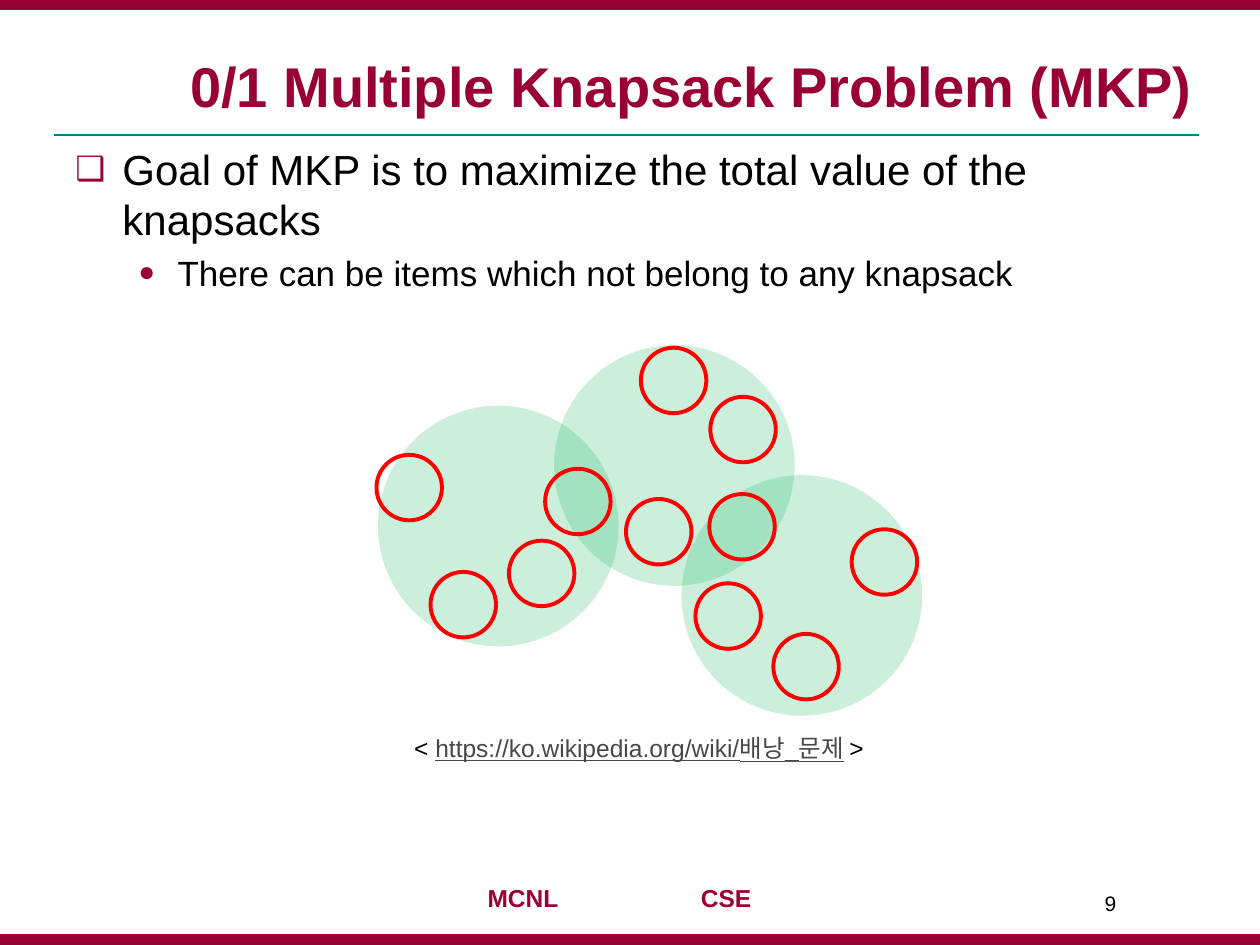
from lxml.etree import SubElement
from pptx import Presentation
from pptx.dml.color import RGBColor
from pptx.enum.shapes import MSO_CONNECTOR, MSO_SHAPE
from pptx.enum.text import MSO_ANCHOR, PP_ALIGN
from pptx.oxml.ns import qn
from pptx.util import Cm, Pt

MAROON = RGBColor(0x99, 0x00, 0x33)
TEAL = RGBColor(0x00, 0x80, 0x80)
BLACK = RGBColor(0x00, 0x00, 0x00)
LINK_GRAY = RGBColor(0x47, 0x47, 0x47)
GREEN = RGBColor(0x00, 0xB0, 0x50)
RED = RGBColor(0xFF, 0x00, 0x00)

TITLE = {"size": Pt(32), "bold": True, "color": MAROON}
GOAL = {"size": Pt(24), "color": BLACK}
DETAIL = {"size": Pt(20), "color": BLACK}
FOOTER = {"size": Pt(14), "bold": True, "color": MAROON}
NUMBER = {"size": Pt(12), "color": BLACK}
CAPTION = {"size": Pt(14), "color": BLACK}
LINK = {"size": Pt(14), "color": LINK_GRAY, "underline": True}

KNAPSACK_SIZE = 4.85
KNAPSACKS = [(0.03, 1.22), (6.15, 2.62), (3.58, 0)]
ITEM_SIZE = 1.32
ITEMS = [
    (6.71, 3), (3.4, 2.49), (1.09, 4.57), (2.67, 3.94), (6.73, 1.04), (9.58, 3.71),
    (0, 2.21), (8, 5.82), (5.33, 0.05), (6.43, 4.8), (5.03, 3.1),
]


def add_run(paragraph, text, style):
    """Append a run of text with the given format values."""
    run = paragraph.add_run()
    run.text = text
    run.font.name = "Arial"
    for name, value in style.items():
        if name == "color":
            run.font.color.rgb = value
        else:
            setattr(run.font, name, value)


def add_text_box(slide, box, wrap=True):
    """Add an empty text box and return its text frame."""
    frame = slide.shapes.add_textbox(*map(Cm, box)).text_frame
    frame.word_wrap = wrap
    return frame


def set_bullet(paragraph, character, margin, hanging):
    """Give a paragraph a maroon bullet with a hanging indent."""
    properties = paragraph._p.get_or_add_pPr()
    properties.set("marL", str(Cm(margin)))
    properties.set("indent", str(-Cm(hanging)))
    color = SubElement(properties, qn("a:buClr"))
    SubElement(color, qn("a:srgbClr"), val=str(MAROON))
    SubElement(properties, qn("a:buSzPct"), val="80000")
    SubElement(properties, qn("a:buFont"), typeface="Arial")
    SubElement(properties, qn("a:buChar"), char=character)


def add_frame(slide, box):
    """Draw the bars at the top and bottom edges and the rule under the title."""
    left, top, width, height = box
    thickness = 0.2
    for bar_top in (top + height - thickness, top):
        bar = slide.shapes.add_shape(
            MSO_SHAPE.RECTANGLE, Cm(left), Cm(bar_top), Cm(width), Cm(thickness))
        bar.shadow.inherit = False
        bar.fill.solid()
        bar.fill.fore_color.rgb = MAROON
        bar.line.color.rgb = MAROON
        bar.line.width = Pt(0.75)
    rule_top = Cm(top + 2.72)
    rule = slide.shapes.add_connector(
        MSO_CONNECTOR.STRAIGHT, Cm(left + 1.09), rule_top, Cm(left + 24.18), rule_top)
    rule.line.color.rgb = TEAL
    rule.line.width = Pt(1)
    SubElement(rule._element.spPr, qn("a:effectLst"))


def add_title(slide, box, text):
    """Place and format the title placeholder."""
    title = slide.shapes.title
    for name, value in zip(("left", "top", "width", "height"), box):
        setattr(title, name, Cm(value))
    title.text_frame.vertical_anchor = MSO_ANCHOR.BOTTOM
    paragraph = title.text_frame.paragraphs[0]
    paragraph.alignment = PP_ALIGN.RIGHT
    add_run(paragraph, text, TITLE)


def add_body(slide, box):
    """Write the goal and its supporting bullet."""
    frame = add_text_box(slide, box)
    goal = frame.paragraphs[0]
    set_bullet(goal, "❑", 0.95, 0.95)
    add_run(goal, "Goal of MKP is to maximize the total value of the knapsacks", GOAL)
    detail = frame.add_paragraph()
    detail.level = 1
    detail.space_before = Pt(4)
    set_bullet(detail, "●", 2.06, 0.79)
    add_run(detail, "There can be items which not belong to any knapsack", DETAIL)


def add_circle(group, left, top, size):
    """Add a circle without a shadow to a group."""
    circle = group.shapes.add_shape(
        MSO_SHAPE.OVAL, Cm(left), Cm(top), Cm(size), Cm(size))
    circle.shadow.inherit = False
    return circle


def add_diagram(slide, left, top):
    """Draw translucent knapsacks with outlined items over them."""
    group = slide.shapes.add_group_shape()
    for x, y in KNAPSACKS:
        knapsack = add_circle(group, left + x, top + y, KNAPSACK_SIZE)
        knapsack.fill.solid()
        knapsack.fill.fore_color.rgb = GREEN
        color = knapsack._element.spPr.find(qn("a:solidFill"))[0]
        SubElement(color, qn("a:alpha"), val="20000")
        knapsack.line.fill.background()
    for x, y in ITEMS:
        item = add_circle(group, left + x, top + y, ITEM_SIZE)
        item.fill.background()
        item.line.color.rgb = RED
        item.line.width = Pt(2.25)


def add_caption(slide, box):
    """Write the source address under the diagram."""
    paragraph = add_text_box(slide, box).paragraphs[0]
    add_run(paragraph, "< ", CAPTION)
    add_run(paragraph, "https://ko.wikipedia.org/wiki/배낭_문제", LINK)
    add_run(paragraph, " >", CAPTION)


def add_footer(slide, box, number):
    """Write the two affiliations and the slide number."""
    left, top, width, height = box
    paragraph = add_text_box(slide, (left, top, 5.87, 0.86), wrap=False).paragraphs[0]
    tabs = SubElement(paragraph._p.get_or_add_pPr(), qn("a:tabLst"))
    SubElement(tabs, qn("a:tab"), pos=str(Cm(4.3)), algn="l")
    add_run(paragraph, "MCNL\tCSE", FOOTER)
    number_width = 2.11
    number_box = (left + width - number_width, top + 0.15, number_width, height - 0.15)
    add_run(add_text_box(slide, number_box).paragraphs[0], number, NUMBER)


def main():
    """Build the slide and save it."""
    presentation = Presentation()
    presentation.slide_width, presentation.slide_height = Cm(25.4), Cm(19.05)
    slide = presentation.slides.add_slide(presentation.slide_layouts[5])
    add_frame(slide, (0, 0, 25.4, 19.05))
    add_title(slide, (1.27, 0.64, 23.04, 1.88), "0/1 Multiple Knapsack Problem (MKP)")
    add_body(slide, (1.27, 2.77, 22.86, 14.4))
    add_caption(slide, (8.1, 14.66, 12.7, 0.86))
    add_diagram(slide, 7.59, 6.96)
    add_footer(slide, (9.58, 17.68, 14.55, 1.17), "9")
    presentation.save("out.pptx")


if __name__ == "__main__":
    main()
